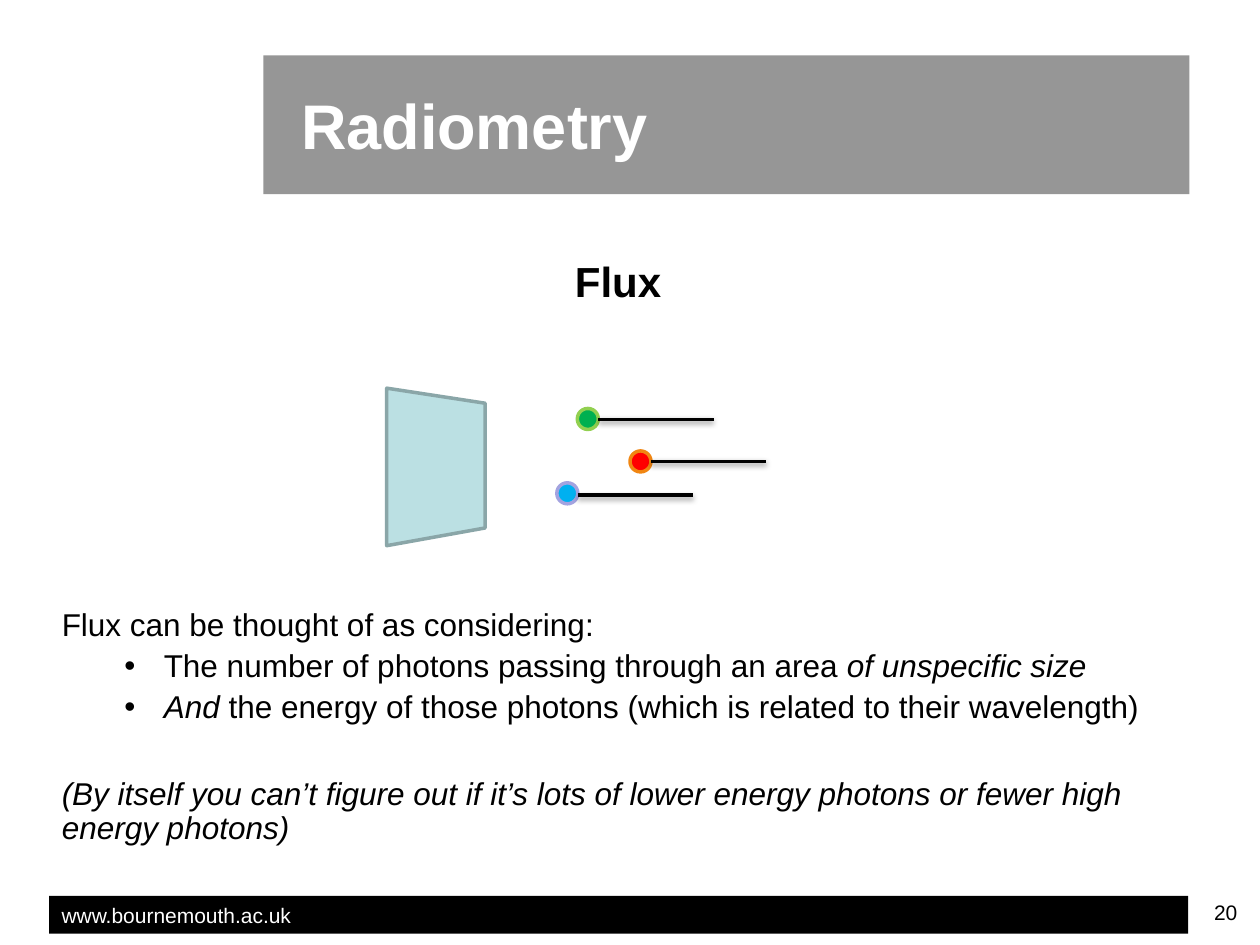
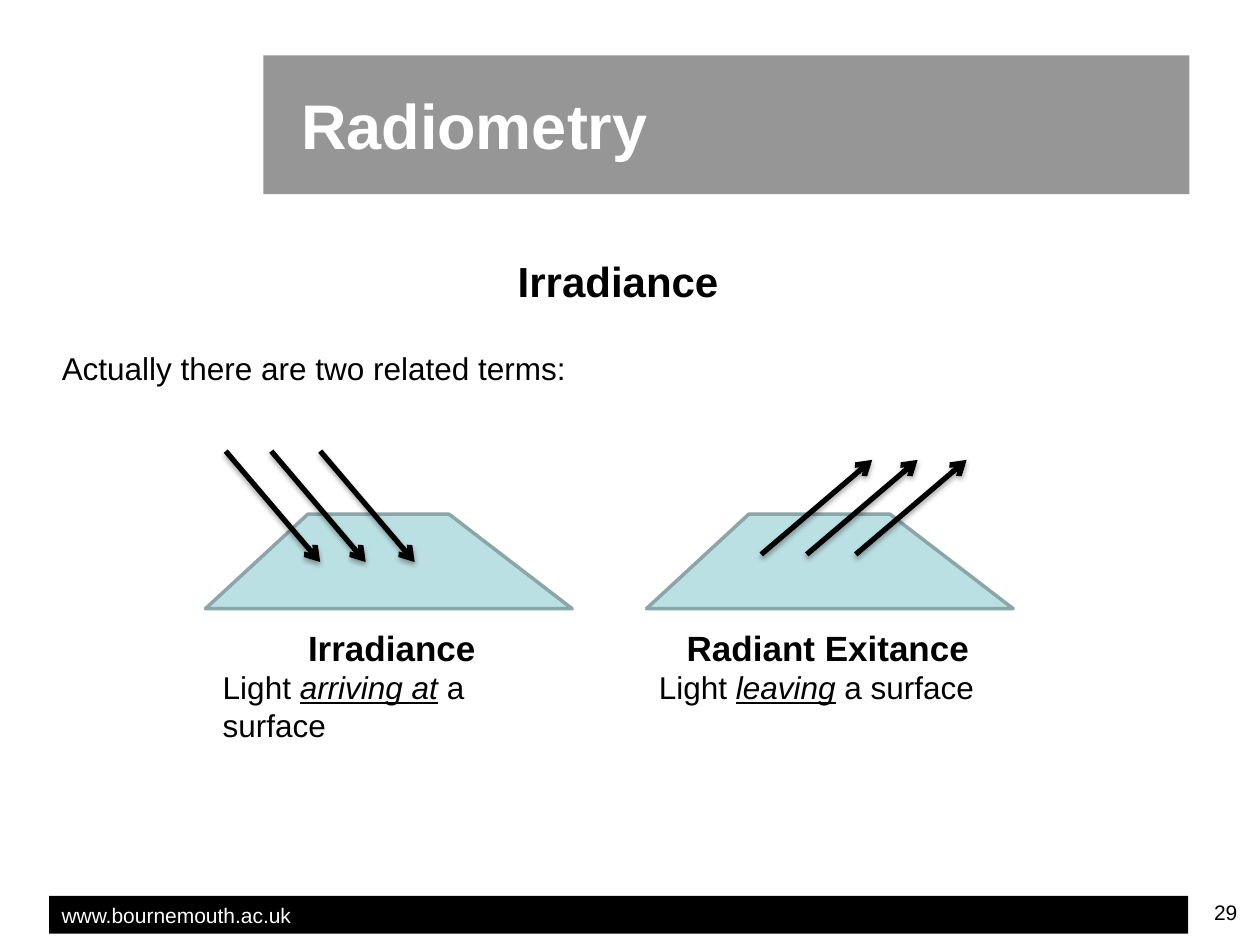
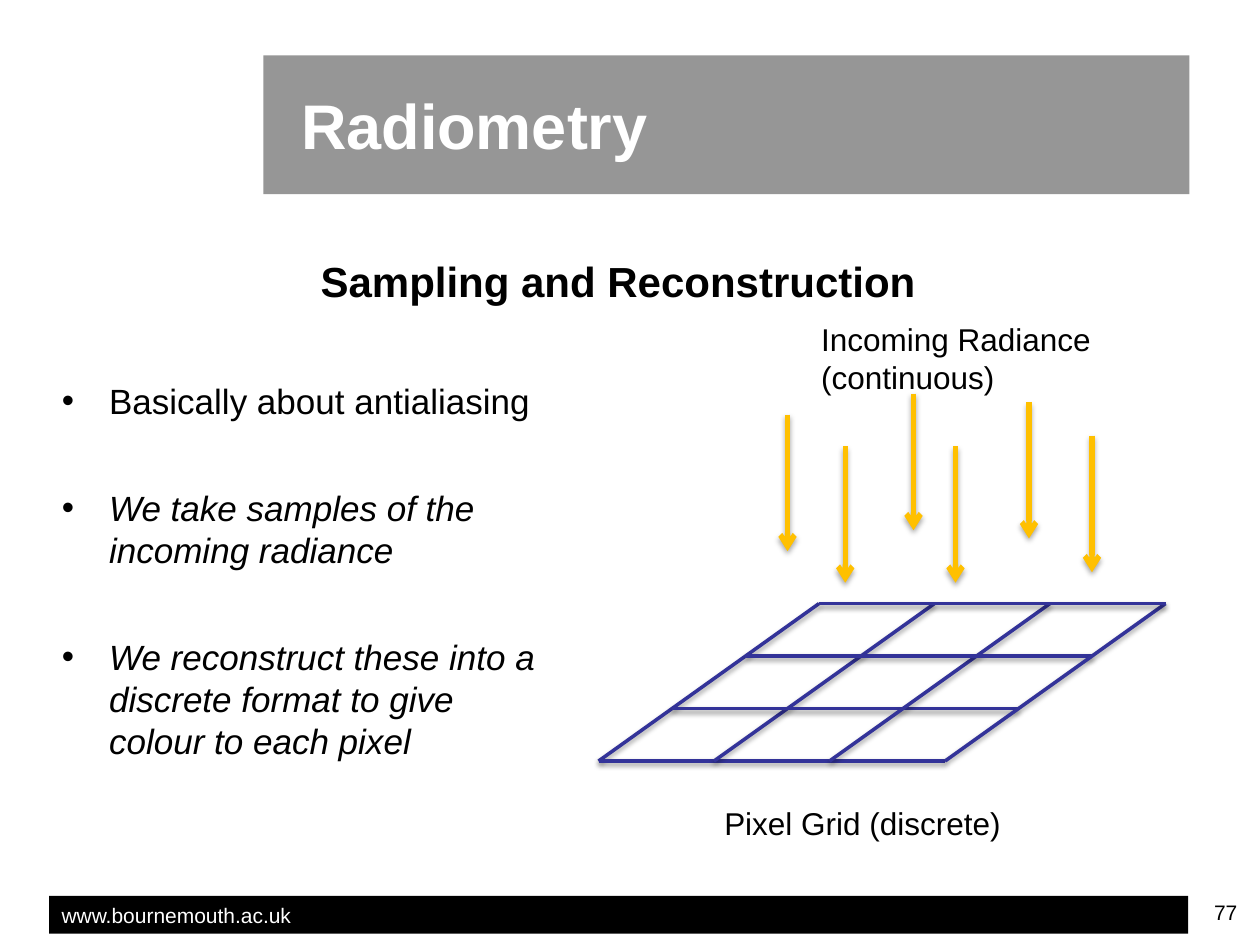
from lxml.etree import SubElement
from pptx import Presentation
from pptx.dml.color import RGBColor
from pptx.enum.shapes import MSO_CONNECTOR, MSO_SHAPE
from pptx.enum.text import MSO_ANCHOR, MSO_AUTO_SIZE, PP_ALIGN
from pptx.oxml.ns import qn
from pptx.util import Pt

# Shared look
FONT = "Arial"
BLACK = RGBColor(0x00, 0x00, 0x00)
WHITE = RGBColor(0xFF, 0xFF, 0xFF)
BAND_GREY = RGBColor(0x96, 0x96, 0x96)
SURFACE_FILL = RGBColor(0xBB, 0xE0, 0xE3)
SURFACE_EDGE = RGBColor(0x8A, 0xA6, 0xA8)
GRID_BLUE = RGBColor(0x33, 0x33, 0x99)
RAY_YELLOW = RGBColor(0xFF, 0xC0, 0x00)
GREEN, GREEN_EDGE = RGBColor(0x00, 0xB0, 0x50), RGBColor(0x92, 0xD0, 0x50)
RED, RED_EDGE = RGBColor(0xFF, 0x00, 0x00), RGBColor(0xF1, 0x86, 0x12)
BLUE, BLUE_EDGE = RGBColor(0x00, 0xB0, 0xF0), RGBColor(0xA3, 0xA3, 0xE0)

# Boxes: left, top, width, height in points
TITLE_BOX = (150.5, 31.7, 529.2, 79.2)
BODY_BOX = (28.1, 145.4, 650.2, 365.8)
FOOTER_BOX = (28.1, 511.9, 650.9, 21.6)
NUMBER_BOX = (681.1, 510.5, 33.1, 26.6)
TITLE = "Radiometry"
FOOTER = "www.bournemouth.ac.uk"

# Body text: runs are (text, style), with i for italic and u for underline
FLUX_BODY = [
    dict(runs=[("Flux can be thought of as considering:", "")], before=173),
    dict(runs=[("The number of photons passing through an area ", ""),
               ("of unspecific size", "i")], before=4.2, margin=58.3, hanging=22.5),
    dict(runs=[("And", "i"),
               (" the energy of those photons (which is related to their wavelength)", "")],
         before=4.2, margin=58.3, hanging=22.5),
    dict(runs=[("(By itself you can’t figure out if it’s lots of lower energy photons "
                "or fewer high energy photons)", "i")], before=30),
]
IRRADIANCE_BODY = [
    dict(runs=[("Actually there are two related terms:", "")], before=27),
]
SAMPLING_POINTS = [
    ("Basically about antialiasing", "", 42),
    ("We take samples of the \nincoming radiance", "i", 37),
    ("We reconstruct these into a \ndiscrete format to give \ncolour to each pixel", "i", 37),
]
SAMPLING_BODY = [
    dict(runs=[(text, style)], before=before, size=20, line=1.0, margin=27, hanging=27)
    for text, style, before in SAMPLING_POINTS
]

# Flux drawing
WINDOW = [(221, 221.8), (277.2, 230.4), (277.2, 301.7), (221, 311.8)]
PHOTON_SIZE, TRAIL_LENGTH = 12, 66
PHOTONS = [  # left, top, trail height, fill, edge
    (329.9, 233.4, 239.6, GREEN, GREEN_EDGE),
    (360, 257.7, 263.6, RED, RED_EDGE),
    (318.2, 275.9, 283, BLUE, BLUE_EDGE),
]

# Irradiance drawing
SURFACE = [(0, 54), (58.5, 0), (139.2, 0), (209.5, 54)]
SURFACE_TOP = 293.8
RAY_OFFSETS = (0, 26, 54)
TERMS = [  # surface left, first ray start, ray step, caption left, height, name, action
    (117.4, (129, 257.8), (54, 63.4), (120.2, 75), "Irradiance", "arriving at"),
    (369.4, (435, 316.8), (63.4, -54), (369.4, 53.3), "Radiant Exitance", "leaving"),
]
CAPTION_TOP, CAPTION_WIDTH = 354.2, 207.4

# Sampling drawing
GRID_LEFT, GRID_BOTTOM, GRID_CELLS, CELL_WIDTH = 342, 434.9, 3, 66
ROW_SHIFT, ROW_HEIGHT = 42, 30
RAY_LENGTH = 78
RAYS = [(450, 237), (483, 255), (522, 225), (546, 255), (588, 229.7), (624, 249)]
SAMPLING_LABELS = [
    ("Pixel Grid (discrete)", (406.8, 455.8, 198.7, 29)),
    ("Incoming Radiance (continuous)", (462.2, 179.3, 198.7, 51)),
]


def place(shape, box):
    shape.left, shape.top, shape.width, shape.height = map(Pt, box)


def write(paragraph, runs, size=18, color=BLACK, bold=False, align=PP_ALIGN.LEFT,
          before=0, line=1.0, margin=0, hanging=0):
    """Format a paragraph, bulleted when it has a hanging indent, and fill it."""
    properties = paragraph._p.get_or_add_pPr()
    properties.set("marL", str(Pt(margin)))
    properties.set("indent", str(-Pt(hanging)))
    if hanging:
        SubElement(properties, qn("a:buFont"), typeface=FONT)
        SubElement(properties, qn("a:buChar"), char="•")
    else:
        SubElement(properties, qn("a:buNone"))
    paragraph.alignment = align
    paragraph.space_before = Pt(before)
    paragraph.line_spacing = line
    font = paragraph.font
    font.name, font.size, font.bold = FONT, Pt(size), bold
    font.color.rgb = color
    for text, style in runs:
        for index, part in enumerate(text.split("\n")):
            if index:
                paragraph.add_line_break()
            run = paragraph.add_run()
            run.text = part
            if "i" in style:
                run.font.italic = True
            if "u" in style:
                run.font.underline = True


def write_all(frame, paragraphs):
    frame.word_wrap = True
    frame.auto_size = MSO_AUTO_SIZE.NONE
    for index, options in enumerate(paragraphs):
        write(frame.add_paragraph() if index else frame.paragraphs[0], **options)


def add_text(slide, box, paragraphs):
    write_all(slide.shapes.add_textbox(*map(Pt, box)).text_frame, paragraphs)


def paint(shape, fill, edge=None):
    shape.shadow.inherit = False
    shape.fill.solid()
    shape.fill.fore_color.rgb = fill
    if edge is None:
        shape.line.fill.background()
    else:
        shape.line.color.rgb = edge
        shape.line.width = Pt(2)


def add_line(slide, start, end, color, arrow=False):
    """Draw a straight line with a soft shadow; arrows are heavier."""
    connector = slide.shapes.add_connector(MSO_CONNECTOR.STRAIGHT, *map(Pt, start + end))
    connector.line.color.rgb = color
    connector.line.width = Pt(3 if arrow else 2)
    if arrow:
        SubElement(connector.line._ln, qn("a:tailEnd"), type="arrow")
    effects = SubElement(connector._element.spPr, qn("a:effectLst"))
    shadow = SubElement(effects, qn("a:outerShdw"), blurRad=str(Pt(3.1)),
                        dist=str(Pt(1.8 if arrow else 1.6)), dir="5400000", rotWithShape="0")
    shadow_color = SubElement(shadow, qn("a:srgbClr"), val=str(BLACK))
    SubElement(shadow_color, qn("a:alpha"), val="35000" if arrow else "38000")


def add_surface(slide, points):
    corners = [(Pt(x), Pt(y)) for x, y in points]
    builder = slide.shapes.build_freeform(*corners[0])
    builder.add_line_segments(corners[1:], close=True)
    paint(builder.convert_to_shape(), SURFACE_FILL, SURFACE_EDGE)


def add_slide(presentation, number, heading, body):
    """Add a slide with the footer, page number, title band and body text."""
    slide = presentation.slides.add_slide(presentation.slide_layouts[1])
    footer = slide.shapes.add_shape(MSO_SHAPE.RECTANGLE, *map(Pt, FOOTER_BOX))
    paint(footer, BLACK)
    footer.text_frame.vertical_anchor = MSO_ANCHOR.MIDDLE
    write_all(footer.text_frame, [dict(runs=[(FOOTER, "")], size=12, color=WHITE)])
    add_text(slide, NUMBER_BOX,
             [dict(runs=[(str(number), "")], size=12, align=PP_ALIGN.RIGHT)])

    title = slide.shapes.title
    place(title, TITLE_BOX)
    title.fill.solid()
    title.fill.fore_color.rgb = BAND_GREY
    title.text_frame.vertical_anchor = MSO_ANCHOR.MIDDLE
    write_all(title.text_frame,
              [dict(runs=[(TITLE, "")], size=36, color=WHITE, bold=True, margin=14.4)])

    content = slide.placeholders[1]
    place(content, BODY_BOX)
    first = dict(runs=[(heading, "")], size=24, bold=True, align=PP_ALIGN.CENTER, line=0.9)
    write_all(content.text_frame, [first] + [{"line": 0.9, **options} for options in body])
    return slide


def draw_flux(slide):
    add_surface(slide, WINDOW)
    for left, top, trail_y, fill, edge in PHOTONS:
        photon = slide.shapes.add_shape(
            MSO_SHAPE.OVAL, Pt(left), Pt(top), Pt(PHOTON_SIZE), Pt(PHOTON_SIZE))
        paint(photon, fill, edge)
        trail_x = left + PHOTON_SIZE
        add_line(slide, (trail_x, trail_y), (trail_x + TRAIL_LENGTH, trail_y), BLACK)


def draw_irradiance(slide):
    for left, (ray_x, ray_y), (dx, dy), (caption_left, height), name, action in TERMS:
        add_surface(slide, [(left + x, SURFACE_TOP + y) for x, y in SURFACE])
        for offset in RAY_OFFSETS:
            x = ray_x + offset
            add_line(slide, (x, ray_y), (x + dx, ray_y + dy), BLACK, arrow=True)
        add_text(slide, (caption_left, CAPTION_TOP, CAPTION_WIDTH, height), [
            dict(runs=[(name, "")], size=20, bold=True, align=PP_ALIGN.CENTER),
            dict(runs=[("Light ", ""), (action, "iu"), (" a surface", "")]),
        ])


def draw_sampling(slide):
    def grid_point(column, row):
        return (GRID_LEFT + column * CELL_WIDTH + row * ROW_SHIFT,
                GRID_BOTTOM - row * ROW_HEIGHT)

    for index in range(GRID_CELLS + 1):
        add_line(slide, grid_point(index, 0), grid_point(index, GRID_CELLS), GRID_BLUE)
        add_line(slide, grid_point(0, index), grid_point(GRID_CELLS, index), GRID_BLUE)
    for x, y in RAYS:
        add_line(slide, (x, y), (x, y + RAY_LENGTH), RAY_YELLOW, arrow=True)
    for text, box in SAMPLING_LABELS:
        add_text(slide, box, [dict(runs=[(text, "")])])


SLIDES = [
    (20, "Flux", FLUX_BODY, draw_flux),
    (29, "Irradiance", IRRADIANCE_BODY, draw_irradiance),
    (77, "Sampling and Reconstruction", SAMPLING_BODY, draw_sampling),
]


def main():
    presentation = Presentation()
    presentation.slide_width, presentation.slide_height = Pt(720), Pt(540)
    for number, heading, body, draw in SLIDES:
        draw(add_slide(presentation, number, heading, body))
    presentation.save("out.pptx")


if __name__ == "__main__":
    main()
